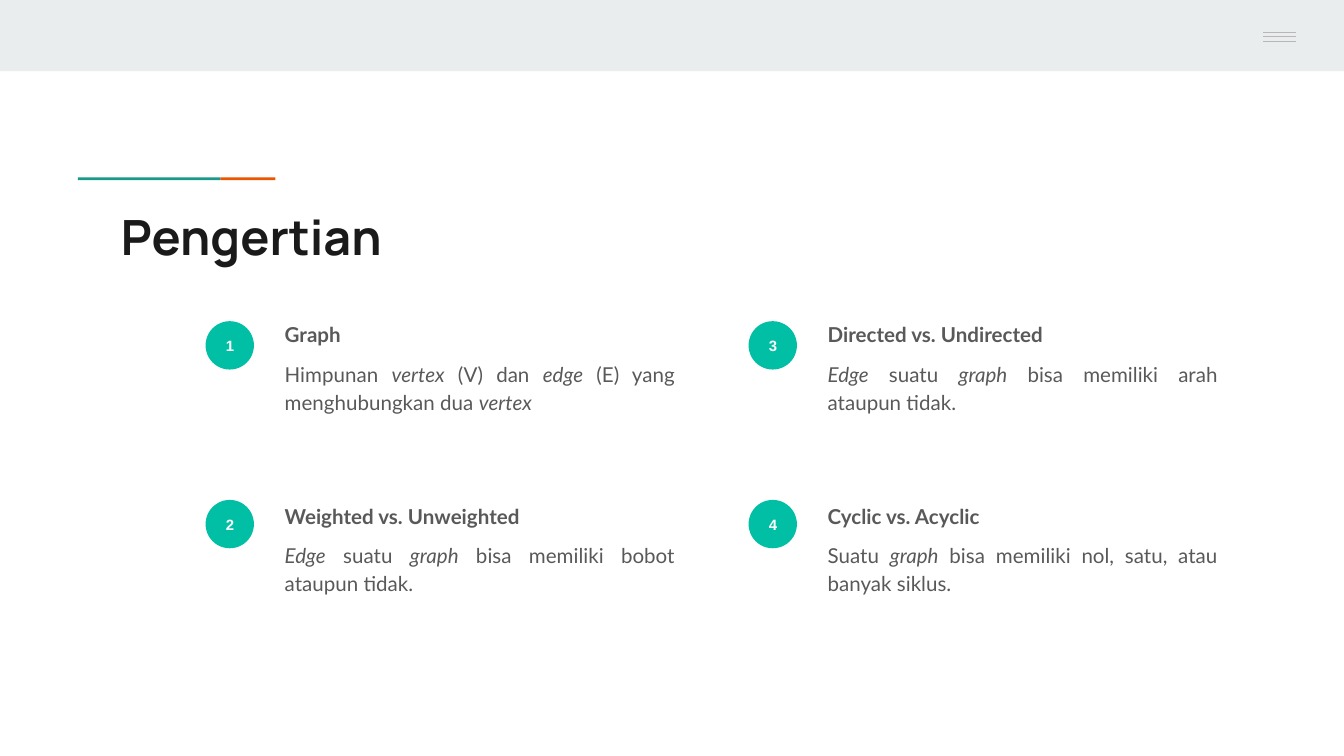
from typing import NamedTuple

from lxml.etree import SubElement
from pptx import Presentation
from pptx.dml.color import RGBColor
from pptx.enum.shapes import MSO_CONNECTOR as Connector, MSO_SHAPE as Preset
from pptx.enum.text import MSO_ANCHOR as Anchor, MSO_AUTO_SIZE as AutoSize, PP_ALIGN as Align
from pptx.oxml.ns import qn
from pptx.util import Inches, Pt

COLORS = {
    "band": "E9EDEE", "menu": "B7B7B7", "teal": "1A9988", "orange": "EB5600",
    "badge": "00BFA5", "title": "1A1A1A", "body": "595959", "white": "FFFFFF",
}
WIDTH = 10
HEIGHT = WIDTH * 9 / 16
COLUMN_LEFT, COLUMN_STEP = 1.53, 4.04
BADGE_TOP, BADGE_STEP, BADGE_SIZE = 2.39, 1.33, 0.36
TEXT_TOP, TEXT_STEP, TEXT_INDENT = 2.27, 1.35, 0.49
ROWS = 2


class Box(NamedTuple):
    left: float
    top: float
    width: float
    height: float

    def emu(self) -> list:
        return [Inches(length) for length in self]


class Definition(NamedTuple):
    term: str
    meaning: str  # words between asterisks are italic


DEFINITIONS = [
    Definition("Graph", "Himpunan *vertex* (V) dan *edge* (E) yang menghubungkan dua *vertex*"),
    Definition("Weighted vs. Unweighted", "*Edge* suatu *graph* bisa memiliki bobot ataupun tidak."),
    Definition("Directed vs. Undirected", "*Edge* suatu *graph* bisa memiliki arah ataupun tidak."),
    Definition("Cyclic vs. Acyclic", "Suatu *graph* bisa memiliki nol, satu, atau banyak siklus."),
]


def rgb(name: str) -> RGBColor:
    return RGBColor.from_string(COLORS[name])


def set_font(paragraph, face: str, size: float, color: str, bold: bool = False) -> None:
    font = paragraph.font
    font.name, font.size, font.bold = face, Pt(size), bold
    font.color.rgb = rgb(color)


def set_frame(frame, anchor=Anchor.TOP) -> None:
    frame.word_wrap = True
    frame.auto_size = AutoSize.NONE
    frame.vertical_anchor = anchor
    frame.margin_left = frame.margin_right = Inches(0.1)
    frame.margin_top = frame.margin_bottom = Inches(0.1)


def add_filled(slide, preset, box: Box, color: str):
    shape = slide.shapes.add_shape(preset, *box.emu())
    shape.shadow.inherit = False
    shape.fill.solid()
    shape.fill.fore_color.rgb = rgb(color)
    shape.line.fill.background()
    return shape


def add_menu_icon(slide) -> None:
    for y in (0.24, 0.27, 0.31):
        bar = slide.shapes.add_connector(
            Connector.STRAIGHT, Inches(9.4), Inches(y), Inches(9.64), Inches(y))
        bar.line.color.rgb = rgb("menu")
        bar.line.width = Pt(0.75)
        SubElement(bar._element.spPr, qn("a:effectLst"))


def add_title(slide, text: str) -> None:
    title = slide.shapes.title
    title.left, title.top, title.width, title.height = Box(0.8, 1.44, 8.41, 0.59).emu()
    set_frame(title.text_frame)
    title.text_frame.text = text
    heading = title.text_frame.paragraphs[0]
    heading.alignment = Align.LEFT
    set_font(heading, "Manrope", 26, "title", bold=True)


def add_badge(slide, number: int, left: float, top: float) -> None:
    badge = add_filled(slide, Preset.OVAL, Box(left, top, BADGE_SIZE, BADGE_SIZE), "badge")
    set_frame(badge.text_frame, Anchor.MIDDLE)
    label = badge.text_frame.paragraphs[0]
    label.text = str(number)
    label.alignment = Align.CENTER
    set_font(label, "Arial", 8, "white", bold=True)


def add_definition(slide, definition: Definition, left: float, top: float) -> None:
    frame = slide.shapes.add_textbox(*Box(left, top, 3.1, 1.15).emu()).text_frame
    set_frame(frame)
    term, meaning = frame.paragraphs[0], frame.add_paragraph()
    term.text = definition.term
    for index, words in enumerate(definition.meaning.split("*")):
        if words:
            run = meaning.add_run()
            run.text = words
            run.font.italic = index % 2 == 1
    for paragraph in (term, meaning):
        paragraph.alignment = Align.JUSTIFY
        paragraph.line_spacing = 1.15
        set_font(paragraph, "Lato", 11, "body", bold=paragraph is term)
    meaning.space_before = meaning.space_after = Pt(6)


def main() -> None:
    deck = Presentation()
    deck.slide_width, deck.slide_height = Inches(WIDTH), Inches(HEIGHT)
    slide = deck.slides.add_slide(deck.slide_layouts[5])

    add_filled(slide, Preset.RECTANGLE, Box(0, 0, WIDTH, 0.53), "band")
    add_filled(slide, Preset.RECTANGLE, Box(1.64, 1.32, 0.41, 0.02), "orange")
    add_filled(slide, Preset.RECTANGLE, Box(0.58, 1.32, 1.06, 0.02), "teal")
    add_menu_icon(slide)
    add_title(slide, "Pengertian")

    for index, definition in enumerate(DEFINITIONS):
        column, row = divmod(index, ROWS)
        left = COLUMN_LEFT + column * COLUMN_STEP
        add_badge(slide, index + 1, left, BADGE_TOP + row * BADGE_STEP)
        add_definition(slide, definition, left + TEXT_INDENT, TEXT_TOP + row * TEXT_STEP)

    deck.save("out.pptx")


if __name__ == "__main__":
    main()
